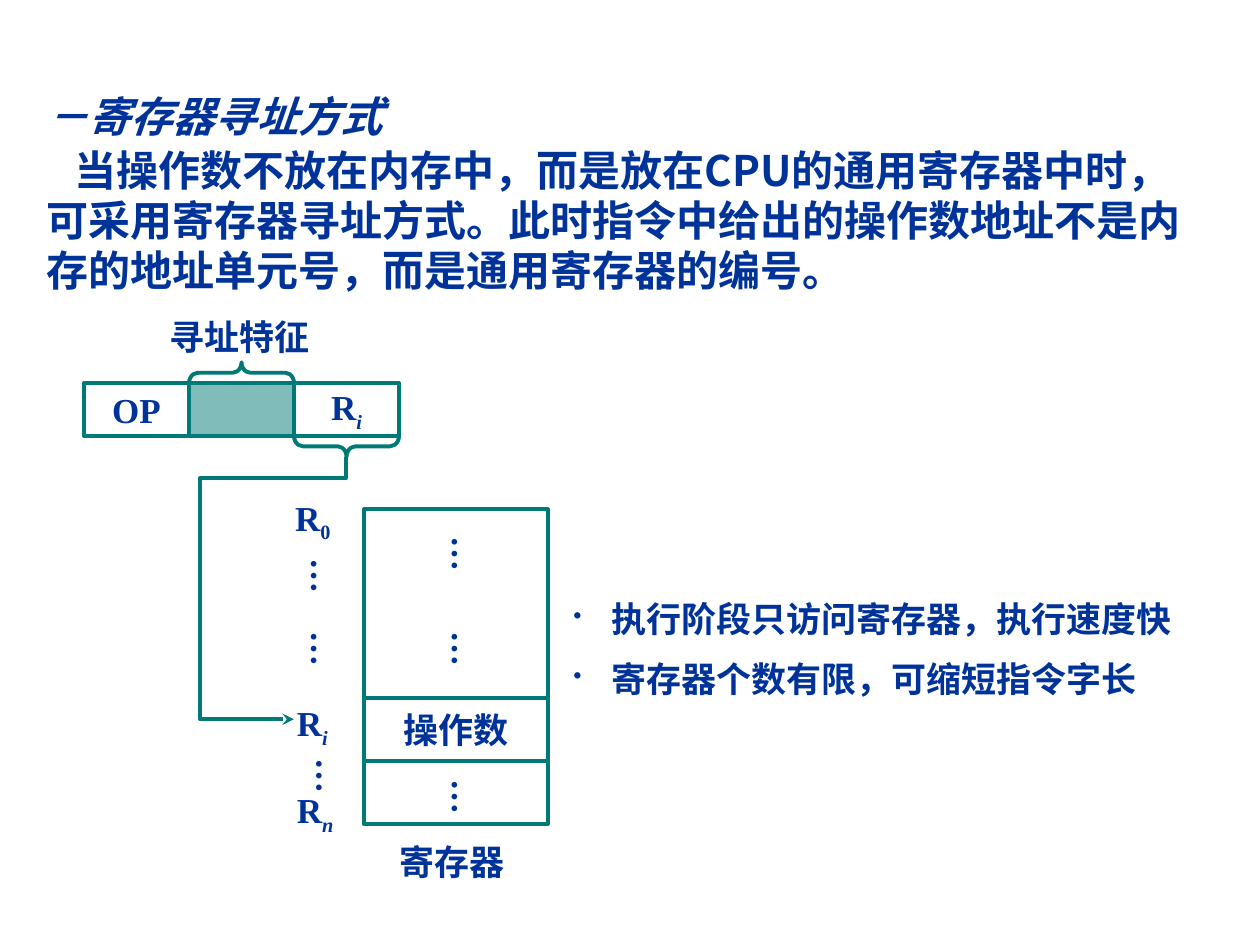
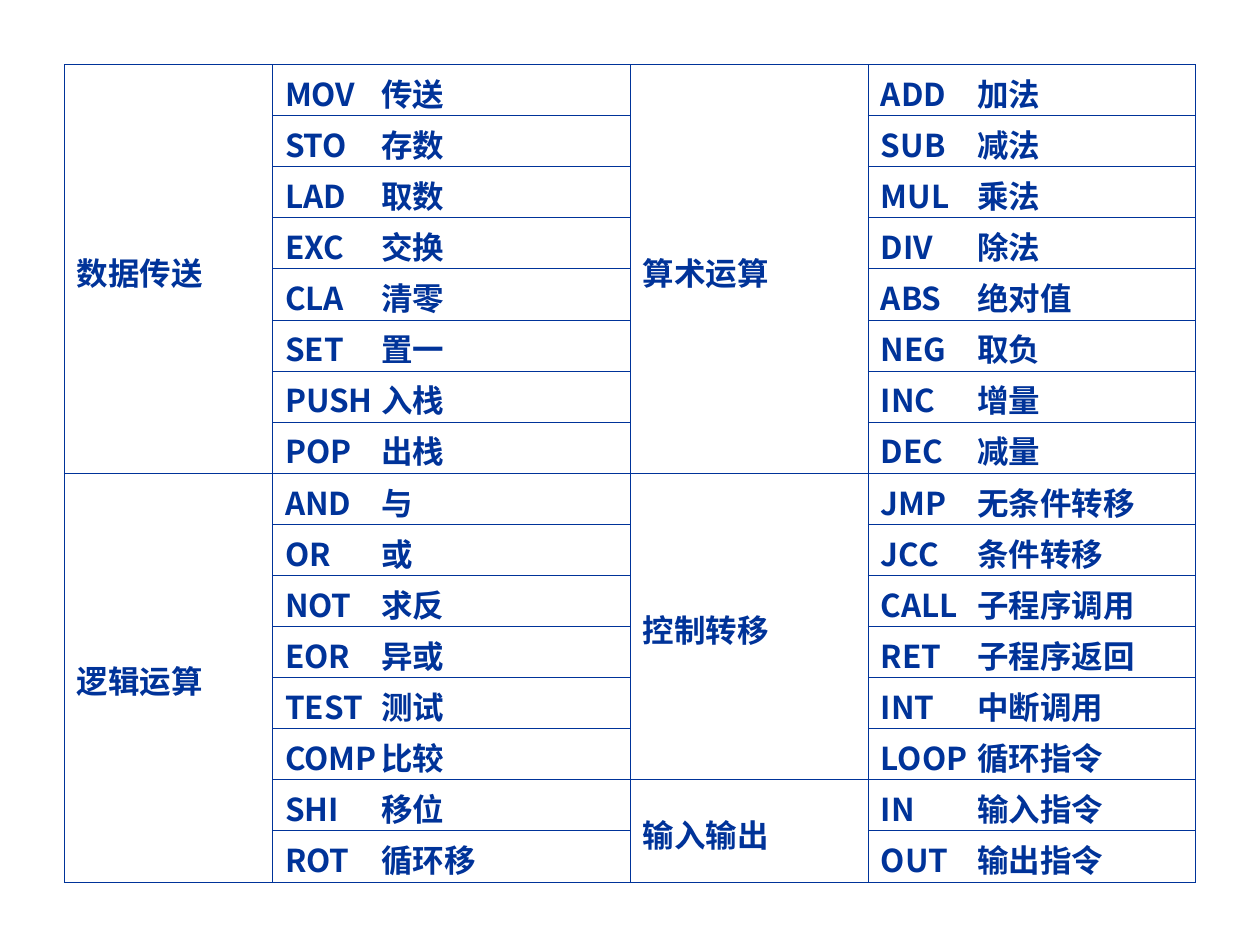
"""Build two slides on register addressing and the basic instruction set."""
import lxml.etree
import pptx
import pptx.dml.color
import pptx.enum.shapes
import pptx.enum.text
import pptx.oxml.ns
import pptx.util

Pt = pptx.util.Pt
qn = pptx.oxml.ns.qn
SHAPE = pptx.enum.shapes.MSO_SHAPE
ALIGN = pptx.enum.text.PP_ALIGN
ANCHOR = pptx.enum.text.MSO_ANCHOR

NAVY = pptx.dml.color.RGBColor(0x00, 0x33, 0x99)
TEAL = pptx.dml.color.RGBColor(0x00, 0x7A, 0x77)
WHITE = pptx.dml.color.RGBColor(0xFF, 0xFF, 0xFF)
SANS = "Noto Sans CJK SC"
SERIF = "Times New Roman"

FIELD_WIDTH, FIELD_HEIGHT, BRACE_DEPTH = 60, 30, 12
FILE_WIDTH = 105
FILE_ROWS = [(108, ""), (36, "操作数"), (36, "")]
FILE_DOTS = [(34.5, 8.5), (34.5, 62.5), (34.5, 147), (-46, 21), (-46, 62.5), (-43, 135)]
REGISTER_NAMES = [(-46.5, -11, "0"), (-45.5, 106.5, "i"), (-45.5, 156, "n")]

INTRO_TITLE = "－寄存器寻址方式"
INTRO_TEXT = (
    "当操作数不放在内存中，而是放在CPU的通用寄存器中时，可采用寄存器寻址方式。"
    "此时指令中给出的操作数地址不是内存的地址单元号，而是通用寄存器的编号。"
)
BENEFITS = ["执行阶段只访问寄存器，执行速度快", "寄存器个数有限，可缩短指令字长"]

COLUMN_WIDTHS = [119, 204.5, 136, 187]
ROW_HEIGHT = 29.2
NAME_TAB = 55
LEFT_GROUPS = [
    ("数据传送", ["MOV 传送", "STO 存数", "LAD 取数", "EXC 交换",
              "CLA 清零", "SET 置一", "PUSH 入栈", "POP 出栈"]),
    ("逻辑运算", ["AND 与", "OR 或", "NOT 求反", "EOR 异或",
              "TEST 测试", "COMP 比较", "SHI 移位", "ROT 循环移"]),
]
RIGHT_GROUPS = [
    ("算术运算", ["ADD 加法", "SUB 减法", "MUL 乘法", "DIV 除法",
              "ABS 绝对值", "NEG 取负", "INC 增量", "DEC 减量"]),
    ("控制转移", ["JMP 无条件转移", "JCC 条件转移", "CALL 子程序调用",
              "RET 子程序返回", "INT 中断调用", "LOOP 循环指令"]),
    ("输入输出", ["IN 输入指令", "OUT 输出指令"]),
]


def add_child(parent, tag, **attributes):
    """Append a drawing element with the given attributes."""
    child = lxml.etree.SubElement(parent, qn(tag))
    for name, value in attributes.items():
        child.set(name, str(value))
    return child


def style_span(span, size, font=SERIF, italic=None):
    """Give a run the shared bold navy look."""
    span.font.name = font
    span.font.size = Pt(size)
    span.font.bold = True
    span.font.italic = italic
    span.font.color.rgb = NAVY
    add_child(span.font._element, "a:ea", typeface=SANS)


def style_para(para, size, font=SERIF, italic=None):
    """Style every run of a paragraph."""
    for span in para.runs:
        style_span(span, size, font, italic)


def write_register(para, index):
    """Write R with a subscript, which is italic when it is a letter."""
    para.text = "R"
    style_para(para, 20)
    subscript = para.add_run()
    subscript.text = index
    style_span(subscript, 20, italic=index.isalpha())
    subscript.font._element.set("baseline", "-25000")


def add_label(page, left, top, width, height, text=""):
    """Add a wrapped text box and return it."""
    box = page.shapes.add_textbox(Pt(left), Pt(top), Pt(width), Pt(height))
    box.text_frame.word_wrap = True
    if text:
        box.text_frame.text = text
        style_para(box.text_frame.paragraphs[0], 20)
    return box


def outline(shape):
    """Leave a shape unfilled, with a teal outline and no shadow."""
    shape.shadow.inherit = False
    shape.fill.background()
    shape.line.color.rgb = TEAL
    shape.line.width = Pt(2.25)


def add_outlined(page, kind, left, top, width, height):
    """Add an outlined preset shape."""
    shape = page.shapes.add_shape(kind, Pt(left), Pt(top), Pt(width), Pt(height))
    outline(shape)
    return shape


def add_box(page, left, top, width, height, text=""):
    """Add an outlined rectangle with centred text."""
    box = add_outlined(page, SHAPE.RECTANGLE, left, top, width, height)
    box.text_frame.vertical_anchor = ANCHOR.MIDDLE
    para = box.text_frame.paragraphs[0]
    para.text = text
    para.alignment = ALIGN.CENTER
    style_para(para, 20)
    return box


def add_brace(page, left, top, rotation):
    """Add a brace that lies along one instruction field."""
    shift = (FIELD_WIDTH - BRACE_DEPTH) / 2
    brace = add_outlined(page, SHAPE.LEFT_BRACE, left + shift, top - shift,
                         BRACE_DEPTH, FIELD_WIDTH)
    brace.adjustments[0] = 0.42
    brace.rotation = rotation


def add_intro(page, left, top, width, height):
    """Add the italic heading and the explanation."""
    frame = add_label(page, left, top, width, height).text_frame
    frame.margin_top = Pt(14.4)
    title = frame.paragraphs[0]
    title.text = INTRO_TITLE
    style_para(title, 24, "Arial", True)
    body = frame.add_paragraph()
    body.text = INTRO_TEXT
    body.space_before = Pt(2.3)
    body._p.get_or_add_pPr().set("indent", str(Pt(16)))
    style_para(body, 24, SANS)
    for para in frame.paragraphs:
        para.line_spacing = Pt(28.6)


def add_instruction(page, left, top):
    """Add the three instruction fields with their braces."""
    lefts = [left + FIELD_WIDTH * number for number in range(3)]
    boxes = [add_box(page, x, top, FIELD_WIDTH, FIELD_HEIGHT, text)
             for x, text in zip(lefts, ["OP", "", ""])]
    mode, register = boxes[1:]
    mode.fill.solid()
    mode.fill.fore_color.rgb = TEAL
    color = mode.element.spPr.find(qn("a:solidFill")).find(qn("a:srgbClr"))
    add_child(color, "a:alpha", val=50000)
    write_register(register.text_frame.paragraphs[0], "i")
    add_brace(page, lefts[1], top - BRACE_DEPTH, 90)
    add_brace(page, lefts[2], top + FIELD_HEIGHT, 270)
    add_label(page, left + 42, top - 42.5, 111, 31, "寻址特征")


def add_route(page, left, top, width, height):
    """Add the bent arrow from the register field to the register."""
    right, bend = left + width, top + 12
    points = [(left, bend), (left, top + height), (left + 53.5, top + height)]
    builder = page.shapes.build_freeform(Pt(right), Pt(top))
    corners = [(right, bend)] + points
    builder.add_line_segments([(Pt(x), Pt(y)) for x, y in corners], close=False)
    route = builder.convert_to_shape()
    outline(route)
    add_child(route.line._get_or_add_ln(), "a:tailEnd", type="stealth")


def add_register_file(page, left, top):
    """Add the register stack with its names, dots and caption."""
    row_top = top
    for height, text in FILE_ROWS:
        add_box(page, left, row_top, FILE_WIDTH, height, text)
        row_top += height
    for x, y in FILE_DOTS:
        dots = add_label(page, left + x, top + y, 39.5, 27.5, "…")
        frame = dots.text_frame
        frame.margin_left = frame.margin_right = Pt(3.6)
        frame.margin_top = frame.margin_bottom = Pt(7.2)
        dots.element.txBody.bodyPr.set("vert", "eaVert")
    for x, y, index in REGISTER_NAMES:
        name = add_label(page, left + x, top + y, 38, 31)
        write_register(name.text_frame.paragraphs[0], index)
    add_label(page, left + 13, row_top + 5.5, FILE_WIDTH, 31, "寄存器")


def add_benefits(page, left, top, width):
    """Add the bulleted advantages, one box each."""
    for number, text in enumerate(BENEFITS):
        box = add_label(page, left, top + 34.4 * number, width, 31.7, text)
        properties = box.text_frame.paragraphs[0]._p.get_or_add_pPr()
        properties.set("marL", str(Pt(21.6)))
        properties.set("indent", str(-Pt(21.6)))
        color = add_child(properties, "a:buClr")
        add_child(color, "a:srgbClr", val=NAVY)
        add_child(properties, "a:buSzPct", val=70000)
        add_child(properties, "a:buChar", char="•")


def style_cell(cell):
    """Give a cell thin navy borders, a white fill and tight margins."""
    properties = cell._tc.get_or_add_tcPr()
    for side in ["a:lnL", "a:lnR", "a:lnT", "a:lnB"]:
        line = add_child(properties, side, w=Pt(0.45))
        add_child(add_child(line, "a:solidFill"), "a:srgbClr", val=NAVY)
    cell.fill.solid()
    cell.fill.fore_color.rgb = WHITE
    cell.vertical_anchor = ANCHOR.MIDDLE
    cell.margin_top, cell.margin_bottom = Pt(3), Pt(0)


def fill_groups(table, column, groups):
    """Fill a merged group column and the instruction column beside it."""
    row = 0
    for title, instructions in groups:
        last = row + len(instructions) - 1
        head = table.cell(row, column)
        head.merge(table.cell(last, column))
        head.text_frame.text = title
        style_para(head.text_frame.paragraphs[0], 18, SANS)
        for instruction in instructions:
            para = table.cell(row, column + 1).text_frame.paragraphs[0]
            para.text = instruction.replace(" ", "\t")
            tabs = add_child(para._p.get_or_add_pPr(), "a:tabLst")
            add_child(tabs, "a:tab", pos=Pt(NAME_TAB), algn="l")
            style_para(para, 18, SANS)
            row += 1


def add_instruction_table(page, left, top):
    """Add the table of instruction groups."""
    rows = sum(len(instructions) for _, instructions in LEFT_GROUPS)
    frame = page.shapes.add_table(rows, len(COLUMN_WIDTHS), Pt(left), Pt(top),
                                  Pt(sum(COLUMN_WIDTHS)), Pt(rows * ROW_HEIGHT))
    table = frame.table
    table.first_row = table.horz_banding = False
    for column, width in zip(table.columns, COLUMN_WIDTHS):
        column.width = Pt(width)
    for row in table.rows:
        row.height = Pt(ROW_HEIGHT)
    for cell in table.iter_cells():
        style_cell(cell)
        cell.text_frame.paragraphs[0].font.size = Pt(18)
    fill_groups(table, 0, LEFT_GROUPS)
    fill_groups(table, 2, RIGHT_GROUPS)


def main():
    """Build and save the deck."""
    deck = pptx.Presentation()
    deck.slide_width, deck.slide_height = Pt(720), Pt(540)
    blank = deck.slide_layouts[6]
    addressing = deck.slides.add_slide(blank)
    add_intro(addressing, 19.5, 37.5, 672.5, 142)
    add_instruction(addressing, 48, 219)
    add_route(addressing, 114.5, 261, 83.5, 150)
    add_register_file(addressing, 208, 291)
    add_benefits(addressing, 320.5, 338, 374)
    add_instruction_table(deck.slides.add_slide(blank), 36.7, 36.8)
    deck.save("out.pptx")


if __name__ == "__main__":
    main()
